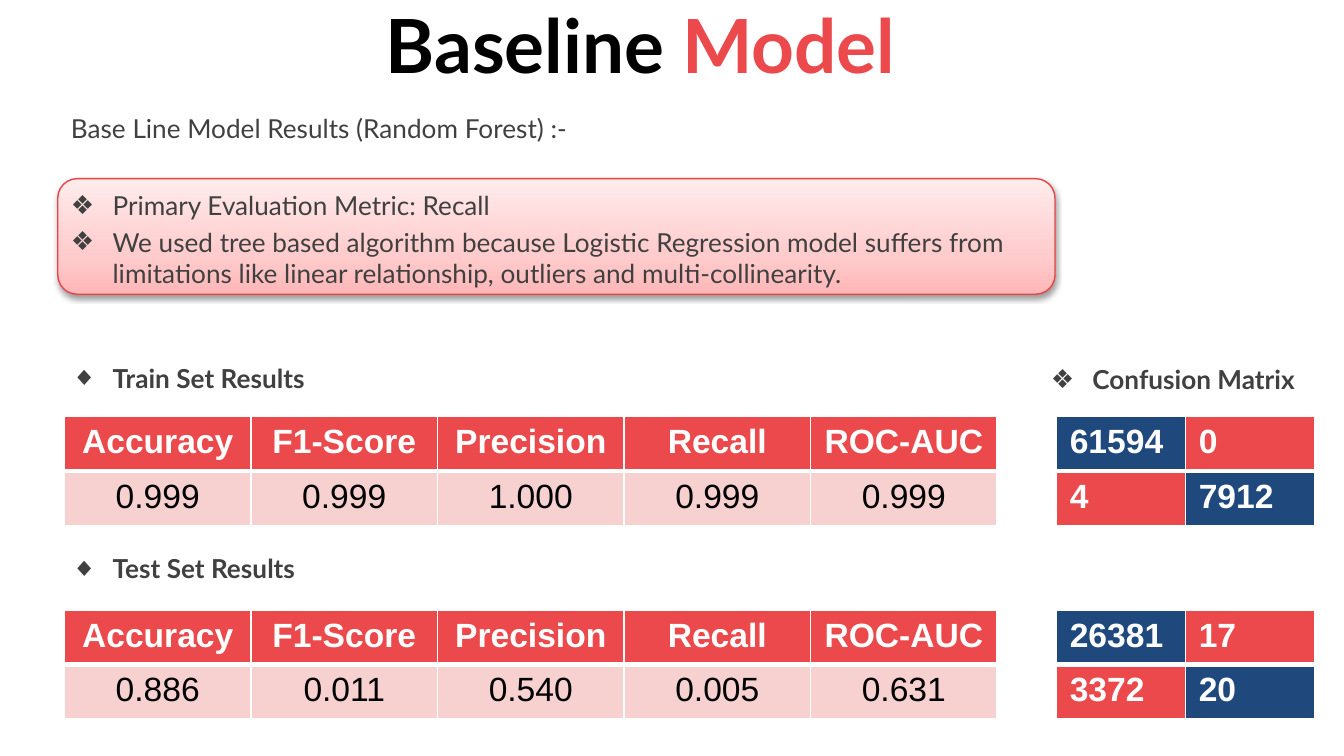
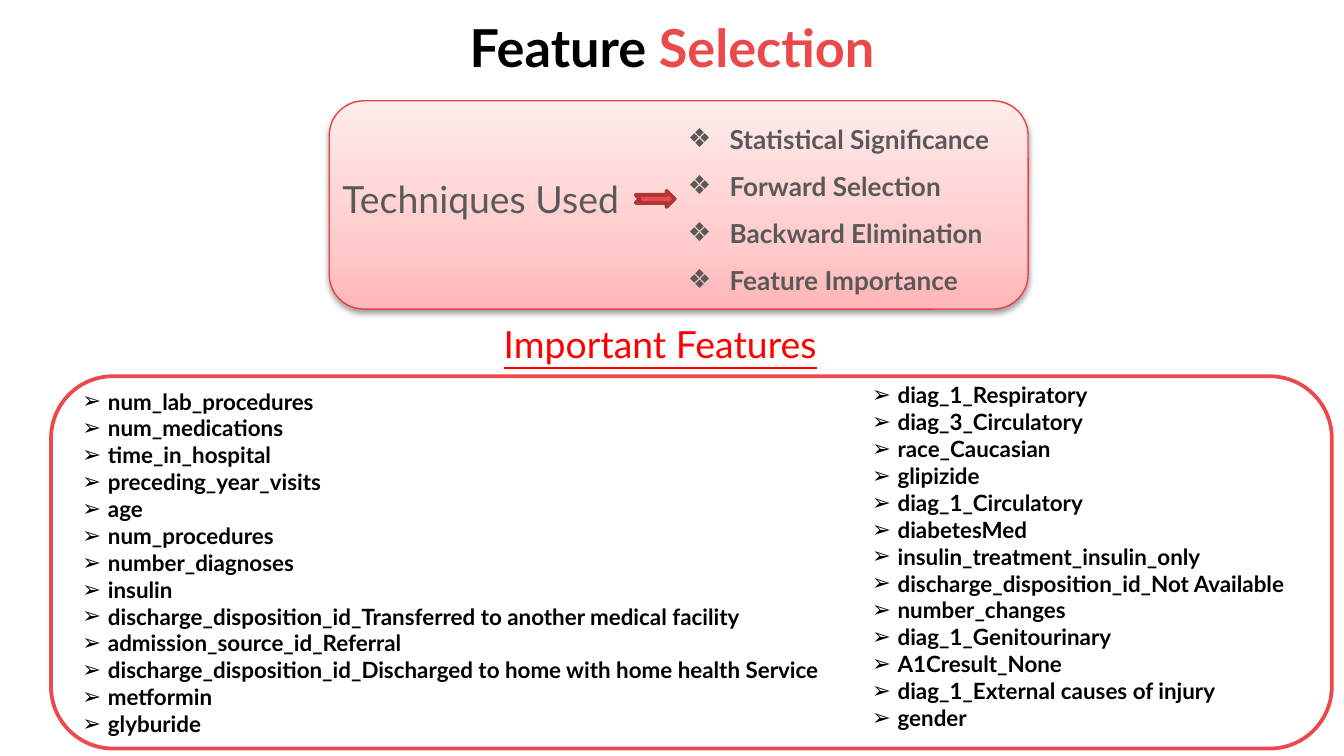
import copy

import lxml.etree
import pptx
import pptx.dml.color
import pptx.enum.shapes
import pptx.enum.text
import pptx.oxml.ns
import pptx.util

Inches = pptx.util.Inches
Pt = pptx.util.Pt
RGBColor = pptx.dml.color.RGBColor
Shape = pptx.enum.shapes.MSO_SHAPE
Align = pptx.enum.text.PP_ALIGN
Anchor = pptx.enum.text.MSO_ANCHOR
AutoSize = pptx.enum.text.MSO_AUTO_SIZE
qn = pptx.oxml.ns.qn

BLACK = RGBColor(0x00, 0x00, 0x00)
WHITE = RGBColor(0xFF, 0xFF, 0xFF)
RED = RGBColor(0xEB, 0x49, 0x4B)
DARK_RED = RGBColor(0xAE, 0x36, 0x37)
PURE_RED = RGBColor(0xFF, 0x00, 0x00)
PANEL_LINE = RGBColor(0xEA, 0x43, 0x45)
PALE_RED = RGBColor(0xF7, 0xD0, 0xD0)
NAVY = RGBColor(0x1F, 0x49, 0x7D)
CHARCOAL = RGBColor(0x40, 0x40, 0x40)
GREY = RGBColor(0x59, 0x59, 0x59)
PANEL_STOPS = [
    (0, RGBColor(0xFF, 0xB7, 0xB8)),
    (0.35, RGBColor(0xFF, 0xCC, 0xCD)),
    (1, RGBColor(0xFF, 0xEC, 0xEC)),
]

HEADING_FONT = "Lato"
TABLE_FONT = "Arial"
BULLET_FONT = "Arial"
WIDE_INDENT = 0.31
NARROW_INDENT = 0.19

METRICS = ["Accuracy", "F1-Score", "Precision", "Recall", "ROC-AUC"]
RESULT_SETS = [
    ("Train Set Results", 2.64, 3.1,
     ["0.999", "0.999", "1.000", "0.999", "0.999"],
     [["61594", "0"], ["4", "7912"]]),
    ("Test Set Results", 4.06, 4.54,
     ["0.886", "0.011", "0.540", "0.005", "0.631"],
     [["26381", "17"], ["3372", "20"]]),
]
TECHNIQUES = ["Statistical Significance", "Forward Selection",
              "Backward Elimination", "Feature Importance"]
LEFT_FEATURES = [
    "num_lab_procedures",
    "num_medications",
    "time_in_hospital",
    "preceding_year_visits",
    "age",
    "num_procedures",
    "number_diagnoses",
    "insulin",
    "discharge_disposition_id_Transferred to another medical facility",
    "admission_source_id_Referral",
    "discharge_disposition_id_Discharged to home with home health Service",
    "metformin",
    "glyburide",
]
RIGHT_FEATURES = [
    "diag_1_Respiratory",
    "diag_3_Circulatory",
    "race_Caucasian",
    "glipizide",
    "diag_1_Circulatory",
    "diabetesMed",
    "insulin_treatment_insulin_only",
    "discharge_disposition_id_Not Available",
    "number_changes",
    "diag_1_Genitourinary",
    "A1Cresult_None",
    "diag_1_External causes of injury",
    "gender",
]


def add_element(parent, tag, **attributes):
    element = lxml.etree.SubElement(parent, qn(tag))
    for name, value in attributes.items():
        element.set(name, str(value))
    return element


def write_text(frame, lines, size=14, color=CHARCOAL, font=HEADING_FONT, bold=False,
               underline=False, align=Align.LEFT, bullet=None, indent=WIDE_INDENT,
               space_before=0, line_spacing=None):
    for index, line in enumerate(lines):
        paragraph = frame.add_paragraph() if index else frame.paragraphs[0]
        paragraph.alignment = align
        paragraph.space_before = Pt(space_before)
        if line_spacing:
            paragraph.line_spacing = line_spacing
        if bullet:
            properties = paragraph._p.get_or_add_pPr()
            properties.set("marL", str(Inches(indent)))
            properties.set("indent", str(-Inches(indent)))
            add_element(properties, "a:buFont", typeface=BULLET_FONT)
            add_element(properties, "a:buChar", char=bullet)
        runs = [(line, color)] if isinstance(line, str) else line
        for text, run_color in runs:
            run = paragraph.add_run()
            run.text = text
            run.font.name = font
            run.font.size = Pt(size)
            run.font.bold = bold
            run.font.underline = underline
            run.font.color.rgb = run_color


def add_text(slide, box, lines, anchor=Anchor.MIDDLE, **text_format):
    shape = slide.shapes.add_textbox(*map(Inches, box))
    shape.text_frame.word_wrap = True
    shape.text_frame.vertical_anchor = anchor
    write_text(shape.text_frame, lines, **text_format)


def add_shape(slide, kind, box, fill, line, line_width):
    shape = slide.shapes.add_shape(kind, *map(Inches, box))
    shape.shadow.inherit = False
    shape.fill.solid()
    shape.fill.fore_color.rgb = fill
    shape.line.color.rgb = line
    shape.line.width = Pt(line_width)
    return shape


def add_panel(slide, box):
    panel = add_shape(slide, Shape.ROUNDED_RECTANGLE, box, WHITE, PANEL_LINE, 0.75)
    panel.fill.gradient()
    panel.fill.gradient_angle = 90
    properties = panel._element.spPr
    stop_list = properties.find(".//" + qn("a:gsLst"))
    stop_list.insert(1, copy.deepcopy(stop_list[0]))
    for stop, (position, color) in zip(panel.fill.gradient_stops, PANEL_STOPS):
        stop.position = position
        stop.color.rgb = color
    shadow = add_element(properties.find(qn("a:effectLst")), "a:outerShdw",
                         blurRad=Pt(3.1), dist=Pt(1.6), dir=5400000, rotWithShape=0)
    shadow_color = add_element(shadow, "a:srgbClr", val=BLACK)
    add_element(shadow_color, "a:alpha", val=38000)


def add_title_slide(presentation, box, first, second, size, wrap=True):
    slide = presentation.slides.add_slide(presentation.slide_layouts[5])
    title = slide.shapes.title
    title.left, title.top, title.width, title.height = map(Inches, box)
    frame = title.text_frame
    frame.word_wrap = wrap
    frame.auto_size = AutoSize.NONE
    frame.vertical_anchor = Anchor.TOP
    write_text(frame, [[(first, BLACK), (second, RED)]], size=size, bold=True,
               align=Align.CENTER)
    return slide


def set_borders(cell, bottom_width):
    properties = cell._tc.get_or_add_tcPr()
    widths = {"a:lnL": 1, "a:lnR": 1, "a:lnT": 1, "a:lnB": bottom_width}
    for position, (tag, width) in enumerate(widths.items()):
        border = add_element(properties, tag, w=Pt(width))
        add_element(add_element(border, "a:solidFill"), "a:srgbClr", val=WHITE)
        properties.insert(position, border)


def add_grid(slide, box, rows, cell_style, align):
    table = slide.shapes.add_table(len(rows), len(rows[0]), *map(Inches, box)).table
    for row_index, row in enumerate(rows):
        for column_index, text in enumerate(row):
            fill, color, bold = cell_style(row_index, column_index)
            cell = table.cell(row_index, column_index)
            cell.fill.solid()
            cell.fill.fore_color.rgb = fill
            write_text(cell.text_frame, [text], size=18, color=color, font=TABLE_FONT,
                       bold=bold, align=align)
            set_borders(cell, 1 if row_index else 3)


def score_style(row, column):
    return (PALE_RED, BLACK, False) if row else (RED, WHITE, True)


def confusion_style(row, column):
    return (NAVY if row == column else RED), WHITE, True


def add_metric_note(slide, box):
    left, top, width, height = box
    add_panel(slide, box)
    add_text(slide, (left, top + 0.23, width + 0.22, 0.44), [
        "Primary Evaluation Metric: Recall",
        "We used tree based algorithm because Logistic Regression model suffers from "
        "limitations like linear relationship, outliers and multi-collinearity.",
    ], bullet="❖", space_before=2.8)


def add_techniques(slide, box):
    left, top, width, height = box
    add_panel(slide, box)
    add_text(slide, (left, top + 0.57, 2.76, 0.31), ["Techniques Used"], size=20,
             color=GREY, space_before=4)
    add_text(slide, (left + 2.57, top, 2.65, 1.47), TECHNIQUES, anchor=Anchor.TOP,
             color=GREY, bold=True, bullet="❖", line_spacing=1.5)
    add_shape(slide, Shape.NOTCHED_RIGHT_ARROW, (left + 2.28, top + 0.67, 0.29, 0.12),
              RED, DARK_RED, 2)


def add_features(slide, box):
    left, top, width, height = box
    feature_format = dict(size=12, color=BLACK, bold=True, bullet="➢",
                          indent=NARROW_INDENT)
    frame = add_shape(slide, Shape.ROUNDED_RECTANGLE, box, WHITE, RED, 2).text_frame
    frame.vertical_anchor = Anchor.MIDDLE
    write_text(frame, LEFT_FEATURES, **feature_format)
    add_text(slide, (left + 6.01, top - 0.01, 4.88, 2.93), RIGHT_FEATURES,
             anchor=Anchor.TOP, **feature_format)


def build_baseline_slide(presentation):
    slide = add_title_slide(presentation, (2.75, -0.06, 4.03, 0.77),
                            "Baseline ", "Model", 40, wrap=False)
    add_text(slide, (0.43, 0.8, 7.64, 0.31),
             ["Base Line Model Results (Random Forest) :-"], space_before=2.8)
    add_metric_note(slide, (0.43, 1.33, 7.42, 0.86))
    for heading, heading_top, table_top, scores, matrix in RESULT_SETS:
        add_text(slide, (0.43, heading_top, 3.19, 0.34), [heading], bold=True, bullet="◆")
        add_grid(slide, (0.48, table_top, 6.94, 0.81), [METRICS, scores], score_style,
                 Align.CENTER)
        add_grid(slide, (7.86, table_top, 1.92, 0.81), matrix, confusion_style,
                 Align.LEFT)
    add_text(slide, (7.72, 2.65, 2.2, 0.34), ["Confusion Matrix"], bold=True, bullet="❖")


def build_feature_slide(presentation):
    slide = add_title_slide(presentation, (0.02, 0.06, 9.96, 0.57),
                            "Feature", " Selection", 28)
    add_features(slide, (0.38, 2.8, 9.53, 2.77))
    add_text(slide, (3.65, 2.4, 2.74, 0.31), ["Important Features"], size=20,
             color=PURE_RED, underline=True, space_before=4)
    add_techniques(slide, (2.45, 0.75, 5.2, 1.55))


def main():
    presentation = pptx.Presentation()
    presentation.slide_width = Inches(10)
    presentation.slide_height = presentation.slide_width * 9 // 16
    build_baseline_slide(presentation)
    build_feature_slide(presentation)
    presentation.save("out.pptx")


if __name__ == "__main__":
    main()
